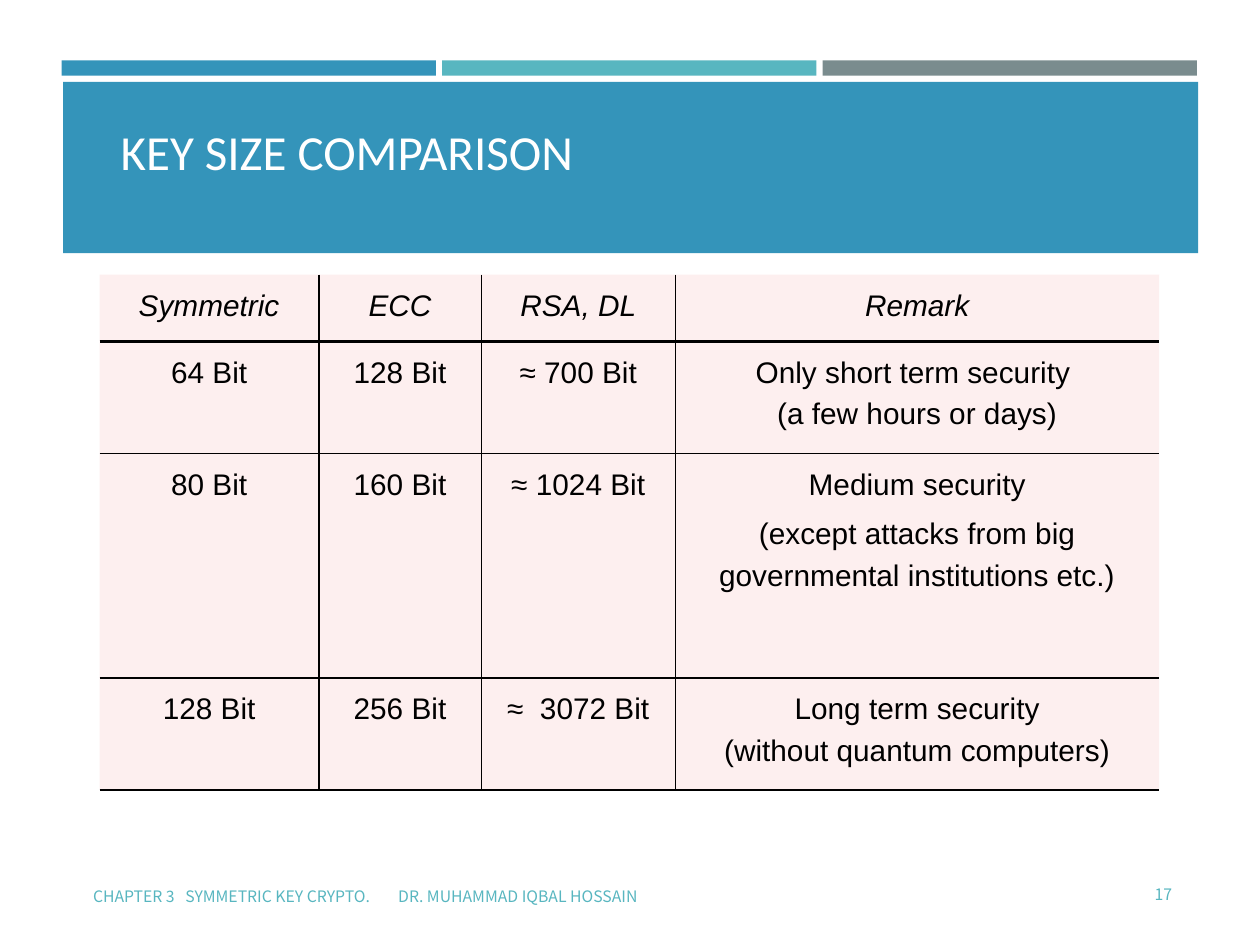
from dataclasses import dataclass

from lxml import etree
from pptx import Presentation
from pptx.dml.color import RGBColor
from pptx.enum.shapes import MSO_SHAPE
from pptx.enum.text import MSO_ANCHOR, PP_ALIGN
from pptx.oxml.ns import qn
from pptx.util import Inches, Pt

RECTANGLE = MSO_SHAPE.RECTANGLE
MIDDLE, BOTTOM = MSO_ANCHOR.MIDDLE, MSO_ANCHOR.BOTTOM
LEFT, CENTER, RIGHT = PP_ALIGN.LEFT, PP_ALIGN.CENTER, PP_ALIGN.RIGHT


@dataclass(frozen=True)
class Theme:
    blue: str = "3494BA"
    teal: str = "58B6C0"
    gray: str = "7A8C8E"
    white: str = "FFFFFF"
    black: str = "000000"
    cell: str = "FCE0E1"
    cell_opacity: int = 50
    title_font: str = "Calibri"
    table_font: str = "Arial"
    footer_font: str = "Noto Sans CJK KR"
    title_size: float = 28
    table_size: float = 17
    footer_size: float = 9
    line_spacing: float = 1.25
    paragraph_gap: float = 4.2
    thin_line: float = 1
    header_line: float = 2.25


THEME = Theme()

# Each cell is one string; "\n" starts a paragraph and "\v" breaks a line.
KEY_SIZES = [
    ["Symmetric", "ECC", "RSA, DL", "Remark"],
    ["64 Bit", "128 Bit", "≈ 700 Bit",
     "Only short term security \v(a few hours or days)"],
    ["80 Bit", "160 Bit", "≈ 1024 Bit",
     "Medium security\n(except attacks from big governmental institutions etc.)"],
    ["128 Bit", "256 Bit", "≈  3072 Bit",
     "Long term security\v(without quantum computers)"],
]
COLUMN_WIDTHS = [1.74, 1.29, 1.54, 3.84]
ROW_HEIGHTS = [0.53, 0.89, 1.78, 0.89]
TABLE_LEFT, TABLE_TOP = 0.79, 2.18

STRIPE_COLORS = [THEME.blue, THEME.teal, THEME.gray]
STRIPE_LEFT, STRIPE_TOP, STRIPE_WIDTH, STRIPE_HEIGHT = 0.49, 0.48, 2.97, 0.12
STRIPE_STEP = 3.02
BANNER = (0.5, 0.65, 9.01, 1.36)

# Text, box, anchor, alignment, font, size, color
TEXTS = [
    ("KEY SIZE COMPARISON", (0.86, 0.13, 7.81, 1.35), BOTTOM, LEFT,
     THEME.title_font, THEME.title_size, THEME.white),
    ("CHAPTER 3   SYMMETRIC KEY CRYPTO.        DR. MUHAMMAD IQBAL HOSSAIN",
     (0.64, 6.91, 5.33, 0.4), MIDDLE, LEFT,
     THEME.footer_font, THEME.footer_size, THEME.teal),
    ("17", (8.56, 6.9, 0.84, 0.4), MIDDLE, RIGHT,
     THEME.footer_font, THEME.footer_size, THEME.teal),
]


def format_runs(paragraph, font_name, size, color, italic=False):
    for run in paragraph.runs:
        run.font.name = font_name
        run.font.size = Pt(size)
        run.font.bold = False
        run.font.italic = italic
        run.font.color.rgb = RGBColor.from_string(color)


def add_rectangle(slide, box, color):
    shape = slide.shapes.add_shape(RECTANGLE, *map(Inches, box))
    shape.shadow.inherit = False
    shape.fill.solid()
    shape.fill.fore_color.rgb = RGBColor.from_string(color)
    shape.line.fill.background()


def add_text(slide, text, box, anchor, alignment, font_name, size, color):
    text_frame = slide.shapes.add_textbox(*map(Inches, box)).text_frame
    text_frame.word_wrap = True
    text_frame.vertical_anchor = anchor
    text_frame.text = text
    paragraph = text_frame.paragraphs[0]
    paragraph.alignment = alignment
    format_runs(paragraph, font_name, size, color)


def fill_cell(cell):
    cell.fill.solid()
    cell.fill.fore_color.rgb = RGBColor.from_string(THEME.cell)
    color = cell._tc.tcPr.find(".//" + qn("a:srgbClr"))
    etree.SubElement(color, qn("a:alpha"), val=str(THEME.cell_opacity * 1000))


def set_borders(cell, widths):
    """Take widths in points for left, right, top and bottom; 0 hides a side."""
    for index, (side, width) in enumerate(zip("LRTB", widths)):
        line = etree.Element(qn(f"a:ln{side}"), w=str(Pt(width)))
        if width:
            fill = etree.SubElement(line, qn("a:solidFill"))
            etree.SubElement(fill, qn("a:srgbClr"), val=THEME.black)
        else:
            etree.SubElement(line, qn("a:noFill"))
        cell._tc.tcPr.insert(index, line)


def add_key_table(slide):
    row_count, column_count = len(KEY_SIZES), len(COLUMN_WIDTHS)
    table = slide.shapes.add_table(
        row_count, column_count, Inches(TABLE_LEFT), Inches(TABLE_TOP),
        Inches(sum(COLUMN_WIDTHS)), Inches(sum(ROW_HEIGHTS))).table
    table.first_row = table.horz_banding = False
    for column, width in zip(table.columns, COLUMN_WIDTHS):
        column.width = Inches(width)
    for row, height in zip(table.rows, ROW_HEIGHTS):
        row.height = Inches(height)

    # Vertical edges 0..columns and horizontal edges 0..rows
    vertical = [0] + [THEME.thin_line] * (column_count - 1) + [0]
    horizontal = [0, THEME.header_line] + [THEME.thin_line] * (row_count - 1)
    for r, texts in enumerate(KEY_SIZES):
        for c, text in enumerate(texts):
            cell = table.cell(r, c)
            cell.text_frame.text = text
            for index, paragraph in enumerate(cell.text_frame.paragraphs):
                paragraph.alignment = CENTER
                paragraph.line_spacing = THEME.line_spacing
                if index:
                    paragraph.space_before = Pt(THEME.paragraph_gap)
                format_runs(paragraph, THEME.table_font, THEME.table_size,
                            THEME.black, italic=r == 0)
            fill_cell(cell)
            set_borders(cell, vertical[c:c + 2] + horizontal[r:r + 2])


def main():
    presentation = Presentation()
    presentation.slide_width, presentation.slide_height = Inches(10), Inches(7.5)
    slide = presentation.slides.add_slide(presentation.slide_layouts[6])
    for index, color in enumerate(STRIPE_COLORS):
        left = STRIPE_LEFT + index * STRIPE_STEP
        add_rectangle(slide, (left, STRIPE_TOP, STRIPE_WIDTH, STRIPE_HEIGHT), color)
    add_rectangle(slide, BANNER, THEME.blue)
    add_key_table(slide)
    for text in TEXTS:
        add_text(slide, *text)
    presentation.save("out.pptx")


if __name__ == "__main__":
    main()
